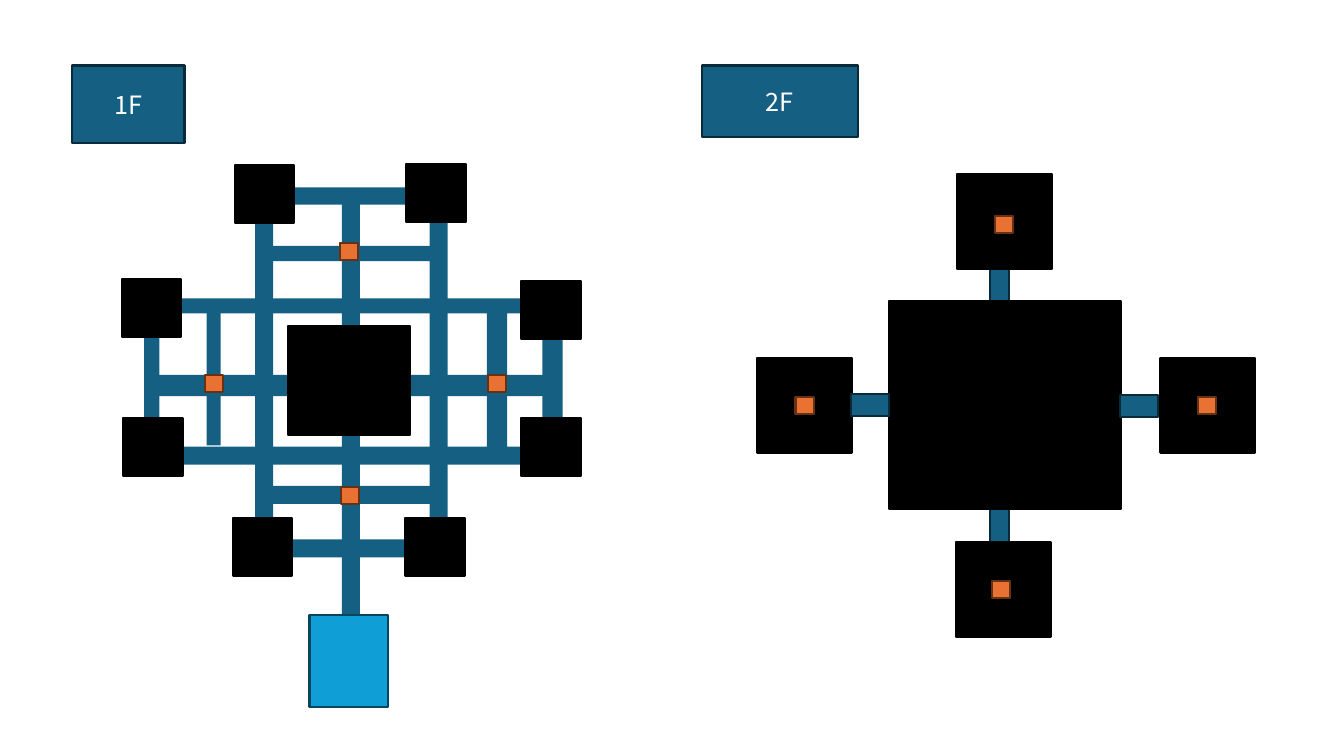
from dataclasses import dataclass

from pptx import Presentation
from pptx.dml.color import RGBColor
from pptx.enum.shapes import MSO_SHAPE
from pptx.enum.text import MSO_ANCHOR, PP_ALIGN
from pptx.util import Inches, Pt


@dataclass(frozen=True)
class Theme:
    """Each style is a fill colour and an outline colour (None for no outline)."""
    corridor: tuple = ("156082", None)
    bridge: tuple = ("156082", "092A39")
    room: tuple = ("000000", "000000")
    stair: tuple = ("E97132", "663216")
    entrance: tuple = ("0F9ED5", "07455D")
    text: str = "FFFFFF"
    font: str = "Noto Sans CJK KR"
    size: int = 18
    outline: float = 1.5


THEME = Theme()
STAIR_SIZE = (0.18, 0.17)


def add_block(s, box, style, left, top, width, height):
    """Add a rectangle whose left and top are measured from the box's corner."""
    fill, line = style
    sp = s.shapes.add_shape(MSO_SHAPE.RECTANGLE, Inches(box[0] + left), Inches(box[1] + top),
                            Inches(width), Inches(height))
    sp.shadow.inherit = False
    sp.fill.solid()
    sp.fill.fore_color.rgb = RGBColor.from_string(fill)
    if line:
        sp.line.color.rgb = RGBColor.from_string(line)
        sp.line.width = Pt(THEME.outline)
    else:
        sp.line.fill.background()
    return sp


def add_blocks(s, box, style, places, size=()):
    """Add one block per place; size completes places that give only left and top."""
    for place in places:
        add_block(s, box, style, *place, *size)


def add_label(s, box, text, *place):
    tf = add_block(s, box, THEME.bridge, *place).text_frame
    tf.vertical_anchor = MSO_ANCHOR.MIDDLE
    p = tf.paragraphs[0]
    p.text = text
    p.alignment = PP_ALIGN.CENTER
    p.font.name = THEME.font
    p.font.size = Pt(THEME.size)
    p.font.color.rgb = RGBColor.from_string(THEME.text)


def add_first_floor(s, box):
    across = [(2.19, 1.36, 1.45, 0.17), (2.06, 1.94, 1.79, 0.15), (0.72, 2.46, 4.25, 0.15),
              (0.95, 3.22, 4.1, 0.21), (1.2, 3.93, 3.57, 0.18), (2.08, 4.32, 1.76, 0.18),
              (2.3, 4.85, 1.21, 0.18)]
    down = [(0.93, 2.66, 0.15, 1.18), (1.55, 2.58, 0.14, 1.34), (2.03, 1.49, 0.18, 3.52),
            (2.89, 1.51, 0.18, 4.17), (3.76, 1.48, 0.18, 3.4), (4.33, 2.56, 0.2, 1.4),
            (4.88, 2.84, 0.2, 0.88)]
    rooms = [(1.83, 1.14), (3.53, 1.13), (0.71, 2.27), (4.67, 2.29),
             (0.72, 3.65), (4.67, 3.65), (1.81, 4.64), (3.52, 4.64)]
    stairs = [(2.87, 1.91), (1.53, 3.22), (4.34, 3.22), (2.88, 4.33)]

    add_label(s, box, "1F", 0.21, 0.15, 1.12, 0.77)
    add_blocks(s, box, THEME.corridor, across + down)
    add_blocks(s, box, THEME.room, rooms, (0.59, 0.57))
    add_blocks(s, box, THEME.stair, stairs, STAIR_SIZE)
    add_block(s, box, THEME.entrance, 2.57, 5.6, 0.78, 0.91)
    add_block(s, box, THEME.room, 2.36, 2.73, 1.21, 1.09)


def add_second_floor(s, box):
    rooms = [(2.99, 1.23), (5.01, 3.05), (2.98, 4.88), (1.01, 3.05)]
    stairs = [(3.37, 1.64), (5.38, 3.44), (3.34, 5.26), (1.39, 3.44)]

    add_label(s, box, "2F", 0.46, 0.15, 1.55, 0.71)
    add_blocks(s, box, THEME.bridge, [(3.32, 2.16), (3.32, 4.55)], (0.19, 1.23))
    add_block(s, box, THEME.room, 2.32, 2.49, 2.3, 2.06)
    add_blocks(s, box, THEME.room, rooms, (0.94, 0.94))
    add_blocks(s, box, THEME.bridge, [(1.94, 3.41), (4.61, 3.42)], (0.38, 0.22))
    add_blocks(s, box, THEME.stair, stairs, STAIR_SIZE)


def main():
    prs = Presentation()
    prs.slide_width, prs.slide_height = Inches(13.33), Inches(7.5)
    s = prs.slides.add_slide(prs.slide_layouts[6])
    add_first_floor(s, (0.5, 0.5))
    add_second_floor(s, (6.5, 0.5))
    prs.save("out.pptx")


if __name__ == "__main__":
    main()
